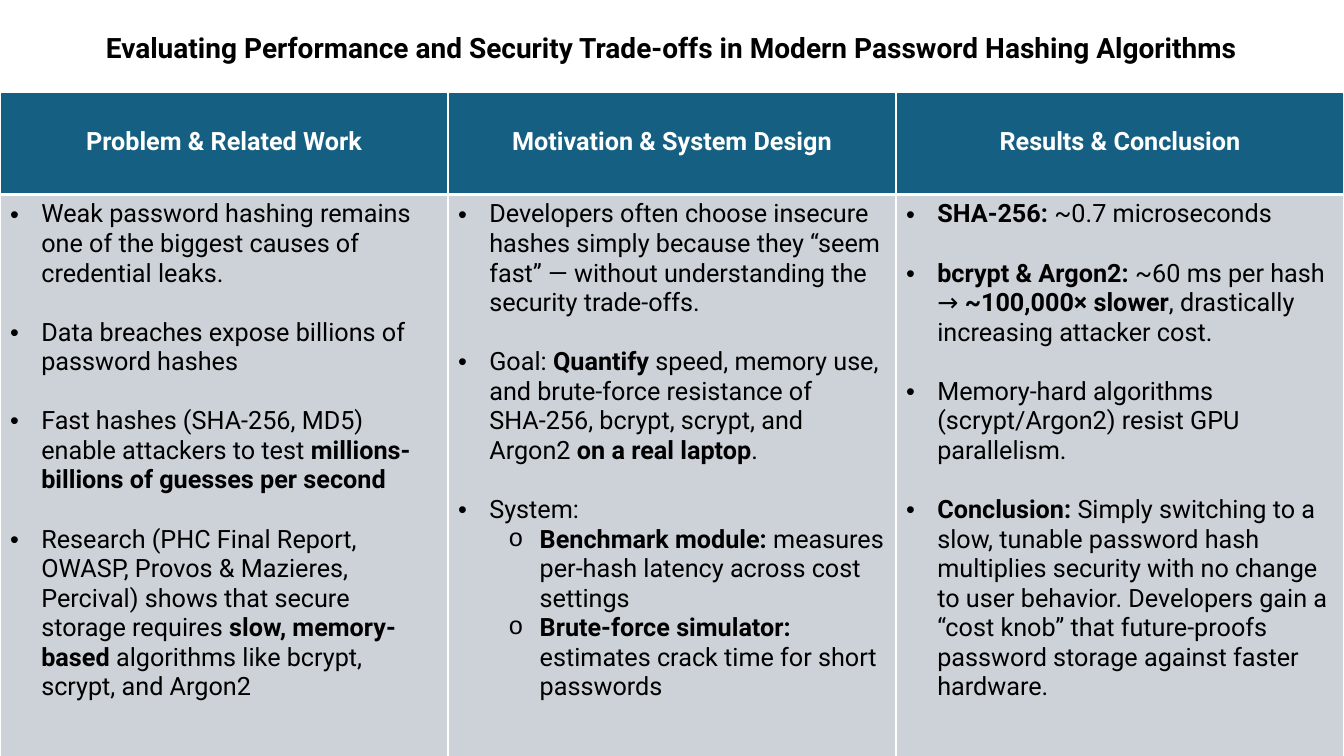
from lxml import etree
from pptx import Presentation
from pptx import util as u
from pptx.dml.color import RGBColor
from pptx.enum import text
from pptx.oxml import ns

COLORS = {"header": "156082", "body": "CCD2D8", "white": "FFFFFF", "black": "000000"}
TITLE = "Evaluating Performance and Security Trade-offs in Modern Password Hashing Algorithms"
TITLE_BOX = (0.95, 0.25, 11.44, 0.44)
TABLE_BOX = (0, 0.92, 13.33, 6.65)
HEADER_HEIGHT = 1.01
TITLE_FONT = {"name": "Roboto", "size": u.Pt(20), "bold": True}
HEADER_FONT = {"name": "Roboto", "size": u.Pt(18), "bold": True}
BODY_FONT = {"name": "Roboto", "size": u.Pt(18), "bold": False}
BULLETS = [
    {"indent": 0.31, "char": "•", "font": "Arial", "gap": 21.1},
    {"indent": 0.81, "char": "o", "font": "Courier New", "gap": 0},
]
HANGING = 0.31

COLUMNS = [
    ("Problem & Related Work", [
        (0, "Weak password hashing remains one of the biggest causes of credential leaks."),
        (0, "Data breaches expose billions of password hashes"),
        (0, "Fast hashes (SHA-256, MD5) enable attackers to test "
            "**millions-billions of guesses per second**"),
        (0, "Research (PHC Final Report, OWASP, Provos & Mazieres, Percival) shows that secure "
            "storage requires **slow, memory-based** algorithms like bcrypt, scrypt, and Argon2"),
    ]),
    ("Motivation & System Design", [
        (0, "Developers often choose insecure hashes simply because they “seem fast” — "
            "without understanding the security trade-offs."),
        (0, "Goal: **Quantify** speed, memory use, and brute-force resistance of SHA-256, "
            "bcrypt, scrypt, and Argon2 **on a real laptop**."),
        (0, "System:"),
        (1, "**Benchmark module:** measures per-hash latency across cost settings"),
        (1, "**Brute-force simulator:** estimates crack time for short passwords"),
    ]),
    ("Results & Conclusion", [
        (0, "**SHA-256:** ~0.7 microseconds"),
        (0, "**bcrypt & Argon2:** ~60 ms per hash → **~100,000× slower**, "
            "drastically increasing attacker cost."),
        (0, "Memory-hard algorithms (scrypt/Argon2) resist GPU parallelism."),
        (0, "**Conclusion:** Simply switching to a slow, tunable password hash multiplies "
            "security with no change to user behavior. Developers gain a “cost knob” that "
            "future-proofs password storage against faster hardware."),
    ]),
]


def apply_format(target, values):
    for name, value in values.items():
        setattr(target, name, value)


def add_runs(paragraph, content, font, color):
    for index, part in enumerate(content.split("**")):
        if part:
            run = paragraph.add_run()
            run.text = part
            apply_format(run.font, font)
            run.font.bold = font["bold"] or index % 2 == 1
            run.font.color.rgb = RGBColor.from_string(COLORS[color])


def set_bullet(paragraph, level):
    bullet = BULLETS[level]
    properties = paragraph._p.get_or_add_pPr()
    properties.set("marL", str(u.Inches(bullet["indent"])))
    properties.set("indent", str(-u.Inches(HANGING)))
    etree.SubElement(properties, ns.qn("a:buFont"), typeface=bullet["font"])
    etree.SubElement(properties, ns.qn("a:buChar"), char=bullet["char"])


def style_cell(cell, fill, bottom_width):
    properties = cell._tc.get_or_add_tcPr()
    for side, width in (("L", 1), ("R", 1), ("T", 1), ("B", bottom_width)):
        line = etree.SubElement(properties, ns.qn(f"a:ln{side}"), w=str(u.Pt(width)))
        solid = etree.SubElement(line, ns.qn("a:solidFill"))
        etree.SubElement(solid, ns.qn("a:srgbClr"), val=COLORS["white"])
    cell.fill.solid()
    cell.fill.fore_color.rgb = RGBColor.from_string(COLORS[fill])


def fill_header(cell, heading):
    style_cell(cell, "header", 3)
    cell.margin_top = u.Inches(0.34)
    paragraph = cell.text_frame.paragraphs[0]
    paragraph.alignment = text.PP_ALIGN.CENTER
    add_runs(paragraph, heading, HEADER_FONT, "white")


def fill_body(cell, items):
    style_cell(cell, "body", 1)
    frame = cell.text_frame
    for index, (level, content) in enumerate(items):
        paragraph = frame.add_paragraph() if index else frame.paragraphs[0]
        paragraph.level = level
        paragraph.space_before = u.Pt(BULLETS[level]["gap"] if index else 0)
        set_bullet(paragraph, level)
        add_runs(paragraph, content, BODY_FONT, "black")


def add_title(slide, box):
    title = slide.shapes.title
    apply_format(title, dict(zip(("left", "top", "width", "height"), map(u.Inches, box))))
    frame = title.text_frame
    apply_format(frame, {
        "word_wrap": False,
        "auto_size": text.MSO_AUTO_SIZE.NONE,
        "vertical_anchor": text.MSO_ANCHOR.MIDDLE,
    })
    paragraph = frame.paragraphs[0]
    paragraph.alignment = text.PP_ALIGN.LEFT
    add_runs(paragraph, TITLE, TITLE_FONT, "black")


def add_summary_table(slide, box):
    left, top, width, height = box
    table = slide.shapes.add_table(2, len(COLUMNS), *map(u.Inches, box)).table
    table.rows[0].height = u.Inches(HEADER_HEIGHT)
    table.rows[1].height = u.Inches(height - HEADER_HEIGHT)
    for index, (heading, items) in enumerate(COLUMNS):
        table.columns[index].width = u.Inches(width / len(COLUMNS))
        fill_header(table.cell(0, index), heading)
        fill_body(table.cell(1, index), items)


def main():
    presentation = Presentation()
    presentation.slide_width = u.Inches(13.33)
    presentation.slide_height = u.Inches(7.5)
    slide = presentation.slides.add_slide(presentation.slide_layouts[5])
    add_title(slide, TITLE_BOX)
    add_summary_table(slide, TABLE_BOX)
    presentation.save("out.pptx")


if __name__ == "__main__":
    main()
